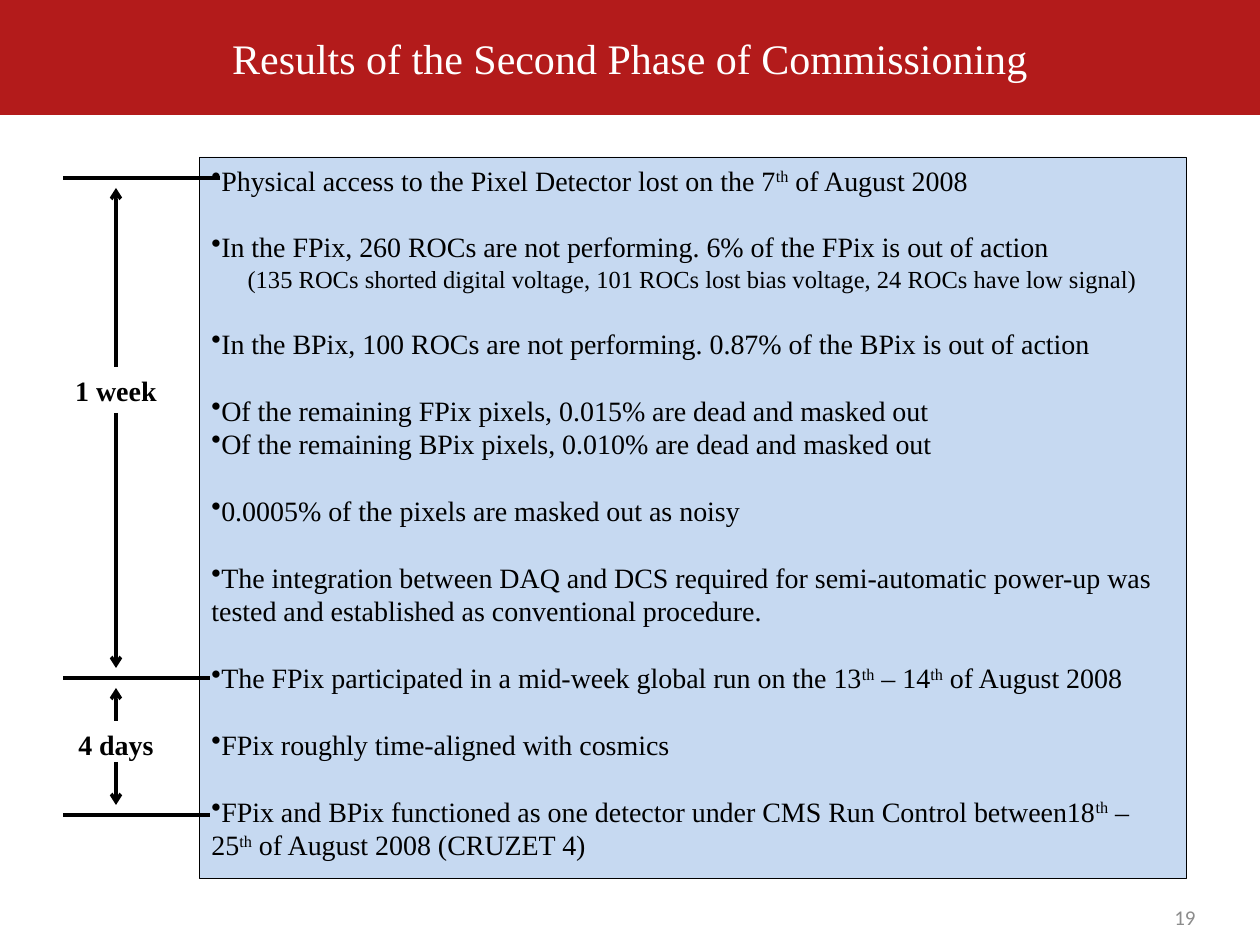
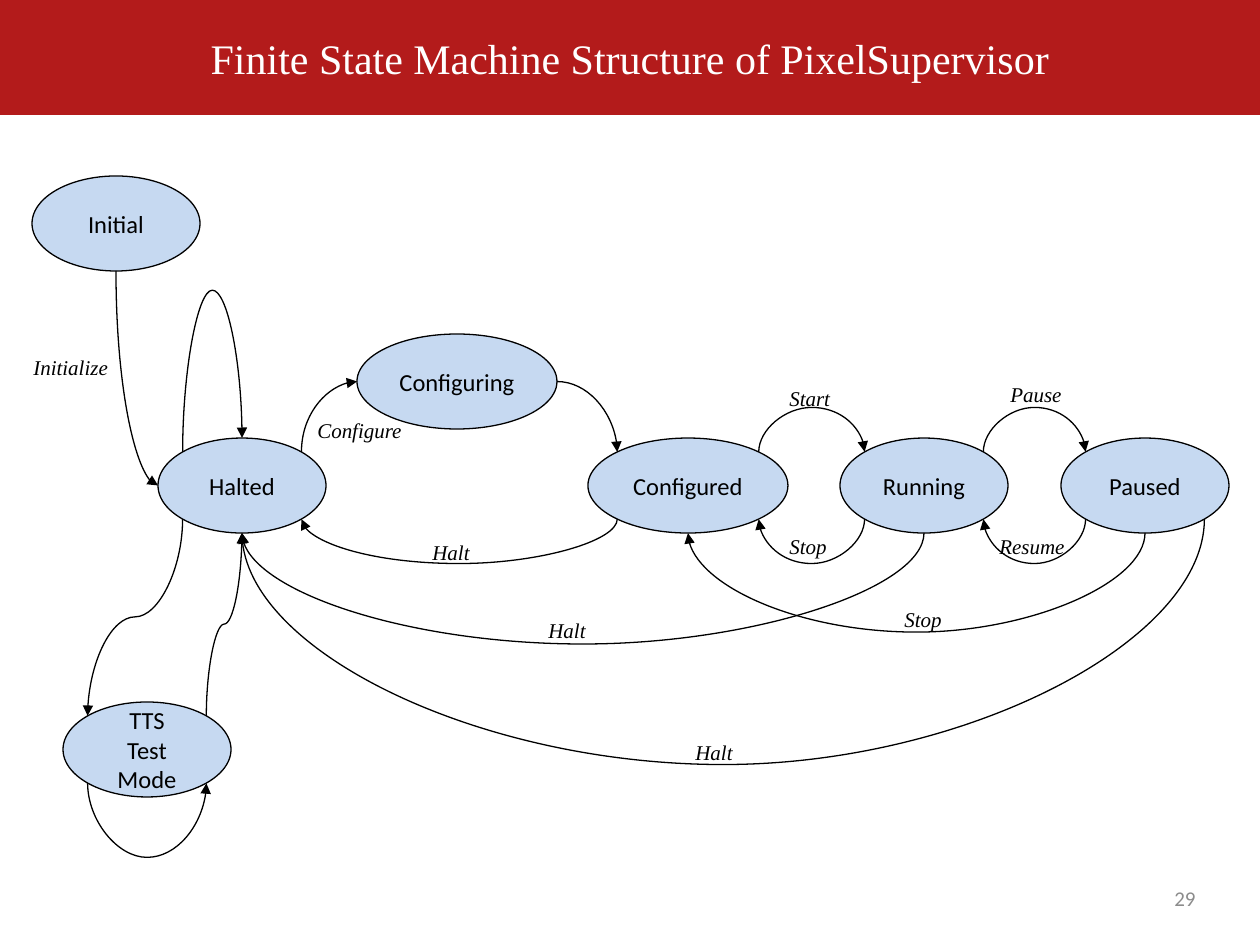
"""Two slides on pixel detector commissioning and its supervisor state machine."""
import math

import pptx
import pptx.dml.color
import pptx.enum.shapes
import pptx.enum.text
import pptx.oxml.ns
import pptx.util
from lxml import etree

RGB = pptx.dml.color.RGBColor
RED = RGB(0xB3, 0x1B, 0x1B)
PALE_BLUE = RGB(0xC6, 0xD9, 0xF1)
BLACK = RGB(0, 0, 0)
WHITE = RGB(255, 255, 255)
GREY = RGB(0x8C, 0x8C, 0x8C)
SERIF, SANS = "Times New Roman", "Calibri"
SHAPE = pptx.enum.shapes.MSO_SHAPE
CONNECTOR = pptx.enum.shapes.MSO_CONNECTOR
ALIGN = pptx.enum.text.PP_ALIGN
ANCHOR = pptx.enum.text.MSO_ANCHOR
qn = pptx.oxml.ns.qn

RESULTS_TITLE, RESULTS_NUMBER = "Results of the Second Phase of Commissioning", ("19", 892)
STATES_TITLE, STATES_NUMBER = "Finite State Machine Structure of PixelSupervisor", ("29", 873)

RESULTS = [
    ["Physical access to the Pixel Detector lost on the 7^th^ of August 2008"],
    ["In the FPix, 260 ROCs are not performing. 6% of the FPix is out of action",
     "(135 ROCs shorted digital voltage, 101 ROCs lost bias voltage, 24 ROCs have low signal)"],
    ["In the BPix, 100 ROCs are not performing. 0.87% of the BPix is out of action"],
    ["Of the remaining FPix pixels, 0.015% are dead and masked out",
     "Of the remaining BPix pixels, 0.010% are dead and masked out"],
    ["0.0005% of the pixels are masked out as noisy"],
    ["The integration between DAQ and DCS required for semi-automatic power-up was "
     "tested and established as conventional procedure."],
    ["The FPix participated in a mid-week global run on the 13^th^ – 14^th^ of August 2008"],
    ["FPix roughly time-aligned with cosmics"],
    ["FPix and BPix functioned as one detector under CMS Run Control between18^th^ – "
     "25^th^ of August 2008 (CRUZET 4)"],
]
MILESTONES = [(178, 220), (678, 210), (815, 210)]
PERIODS = [("1 week", 367, 413), ("4 days", 721, 762)]
TIMELINE_X, ARROW_GAP = 116, 10

STATE_H = 95
STATES = {
    "Initial": (32, 176, 168),
    "Configuring": (357, 334, 200),
    "Halted": (158, 438, 168),
    "Configured": (588, 438, 200),
    "Running": (840, 438, 168),
    "Paused": (1061, 438, 168),
    "TTS\nTest Mode": (63, 702, 168),
}
TTS = "TTS\nTest Mode"
SITES = ["top", "top left", "left", "bottom left", "bottom", "bottom right", "right", "top right"]
ABOVE, BELOW = 407, 564
TRANSITIONS = [
    ("Initial", "bottom", "Halted", "left", None),
    ("Halted", "top right", "Configuring", "left", None),
    ("Halted", "top left", "Halted", "top", 290),
    ("Configuring", "right", "Configured", "top left", None),
    ("Configured", "top right", "Running", "top left", ABOVE),
    ("Running", "top right", "Paused", "top left", ABOVE),
    ("Paused", "bottom left", "Running", "bottom right", BELOW),
    ("Running", "bottom left", "Configured", "bottom right", BELOW),
    ("Configured", "bottom left", "Halted", "bottom right", BELOW),
    ("Paused", "bottom", "Configured", "bottom", 633),
    ("Paused", "bottom right", "Halted", "bottom", 765),
    ("Halted", "bottom left", TTS, "top left", 617),
    (TTS, "bottom left", TTS, "bottom right", 858),
    (TTS, "top right", "Halted", "bottom", 624),
    ("Running", "bottom", "Halted", "bottom", 645),
]
COMMANDS = [
    ("Initialize", 21, 348), ("Configure", 305, 411), ("Start", 777, 379),
    ("Pause", 998, 375), ("Resume", 987, 527), ("Stop", 892, 600),
    ("Halt", 683, 733), ("Halt", 420, 533), ("Stop", 777, 527), ("Halt", 536, 611),
]


def px(n):
    return pptx.util.Emu(round(n * 914400 / 126))


def style(p, font, size, color=BLACK, align=ALIGN.LEFT, bold=False, italic=False):
    p.alignment = align
    for r in p.runs:
        r.font.name, r.font.size = font, pptx.util.Pt(size)
        r.font.bold, r.font.italic = bold, italic
        r.font.color.rgb = color


def add_text(s, text, x, y, w, h, anchor=ANCHOR.TOP, **look):
    tf = s.shapes.add_textbox(px(x), px(y), px(w), px(h)).text_frame
    tf.word_wrap = True
    tf.vertical_anchor = anchor
    tf.text = text
    style(tf.paragraphs[0], **look)


def add_box(s, kind, x, y, w, h, fill, line_pt=None):
    sp = s.shapes.add_shape(kind, px(x), px(y), px(w), px(h))
    sp.shadow.inherit = False
    sp.fill.solid()
    sp.fill.fore_color.rgb = fill
    if line_pt is None:
        sp.line.fill.background()
    else:
        sp.line.color.rgb = BLACK
        sp.line.width = pptx.util.Pt(line_pt)
    sp.text_frame.vertical_anchor = ANCHOR.MIDDLE
    return sp


def add_line(s, kind, x1, y1, x2, y2, width=0, head=None):
    c = s.shapes.add_connector(kind, px(x1), px(y1), px(x2), px(y2))
    c.line.color.rgb = BLACK
    c.line.width = pptx.util.Pt(width)
    spPr = c._element.spPr
    if head:
        etree.SubElement(spPr.find(qn("a:ln")), qn("a:tailEnd"), type=head)
    etree.SubElement(spPr, qn("a:effectLst"))
    return c


def add_slide(prs, title, number):
    s = prs.slides.add_slide(prs.slide_layouts[6])
    text, top = number
    add_text(s, text, 914, top, 294, 50, ANCHOR.MIDDLE,
             font=SANS, size=12, color=GREY, align=ALIGN.RIGHT)
    band = add_box(s, SHAPE.RECTANGLE, 0, 0, 1260, 115, RED)
    band.text_frame.text = title
    style(band.text_frame.paragraphs[0], SERIF, 24, WHITE, ALIGN.CENTER)
    return s


def add_result(p, text, gap):
    note = text.startswith("(")
    if not note:
        etree.SubElement(p._p.get_or_add_pPr(), qn("a:buChar"), char="•")
    p.space_before = pptx.util.Pt(gap)
    for i, part in enumerate(text.split("^")):
        r = p.add_run()
        r.text = part
        if i % 2:
            r._r.get_or_add_rPr().set("baseline", "30000")
    style(p, SERIF, 14 if note else 16, align=ALIGN.CENTER if note else ALIGN.LEFT)


def build_results(prs):
    s = add_slide(prs, RESULTS_TITLE, RESULTS_NUMBER)
    tf = add_box(s, SHAPE.RECTANGLE, 199, 157, 987, 721, PALE_BLUE, 0.25).text_frame
    tf.vertical_anchor = ANCHOR.TOP
    for g, group in enumerate(RESULTS):
        for i, text in enumerate(group):
            first = g == 0 and i == 0
            p = tf.paragraphs[0] if first else tf.add_paragraph()
            add_result(p, text, 19 if g and i == 0 else 0)
    for y, right in MILESTONES:
        add_line(s, CONNECTOR.STRAIGHT, 63, y, right, y)
    for (label, top, bottom), (start, _), (end, _) in zip(PERIODS, MILESTONES, MILESTONES[1:]):
        for y1, y2 in ((top, start + ARROW_GAP), (bottom, end - ARROW_GAP)):
            add_line(s, CONNECTOR.STRAIGHT, TIMELINE_X, y1, TIMELINE_X, y2, head="arrow")
        add_text(s, label, TIMELINE_X - 63, top, 126, 46,
                 font=SERIF, size=16, align=ALIGN.CENTER, bold=True)


def site_point(state, site):
    x, y, w = STATES[state]
    angle = SITES.index(site) * math.pi / 4
    return (x + w / 2 * (1 - math.sin(angle)),
            y + STATE_H / 2 * (1 - math.cos(angle)))


def add_transition(s, ovals, source, out, target, into, bow):
    (x1, y1), (x2, y2) = site_point(source, out), site_point(target, into)
    sideways = out in ("left", "right")
    dx, dy = x2 - x1, y2 - y1
    if abs(dy) < 0.01:
        dy = math.copysign(0.25, bow - y1)
    w, h = (abs(dx), abs(dy)) if sideways else (abs(dy), abs(dx))
    left, top = (x1 + x2 - w) / 2, (y1 + y2 - h) / 2
    c = add_line(s, CONNECTOR.CURVE, left, top, left + w, top + h, 0.75, "triangle")
    spPr = c._element.spPr
    xfrm, geom = spPr.find(qn("a:xfrm")), spPr.find(qn("a:prstGeom"))
    if not sideways:
        xfrm.set("rot", "5400000")
        xfrm.set("flipH", str(int(dy < 0)))
        xfrm.set("flipV", str(int(dx > 0)))
    if bow is None:
        geom.set("prst", "curvedConnector2")
    else:
        adjust = round((bow - y1) / dy * 100000)
        etree.SubElement(geom.find(qn("a:avLst")), qn("a:gd"), name="adj1", fmla=f"val {adjust}")
    links = c._element.nvCxnSpPr.cNvCxnSpPr
    for tag, state, site in (("a:stCxn", source, out), ("a:endCxn", target, into)):
        etree.SubElement(links, qn(tag), id=str(ovals[state].shape_id), idx=str(SITES.index(site)))


def build_states(prs):
    s = add_slide(prs, STATES_TITLE, STATES_NUMBER)
    ovals = {}
    for name, (x, y, w) in STATES.items():
        ovals[name] = add_box(s, SHAPE.OVAL, x, y, w, STATE_H, PALE_BLUE, 0)
        ovals[name].text_frame.text = name
        for p in ovals[name].text_frame.paragraphs:
            style(p, SANS, 14, align=ALIGN.CENTER)
    for transition in TRANSITIONS:
        add_transition(s, ovals, *transition)
    for command, x, y in COMMANDS:
        add_text(s, command, x, y, 189, 38, font=SERIF, size=12, italic=True)


def main():
    prs = pptx.Presentation()
    prs.slide_width, prs.slide_height = px(1260), px(945)
    build_results(prs)
    build_states(prs)
    prs.save("out.pptx")


if __name__ == "__main__":
    main()
